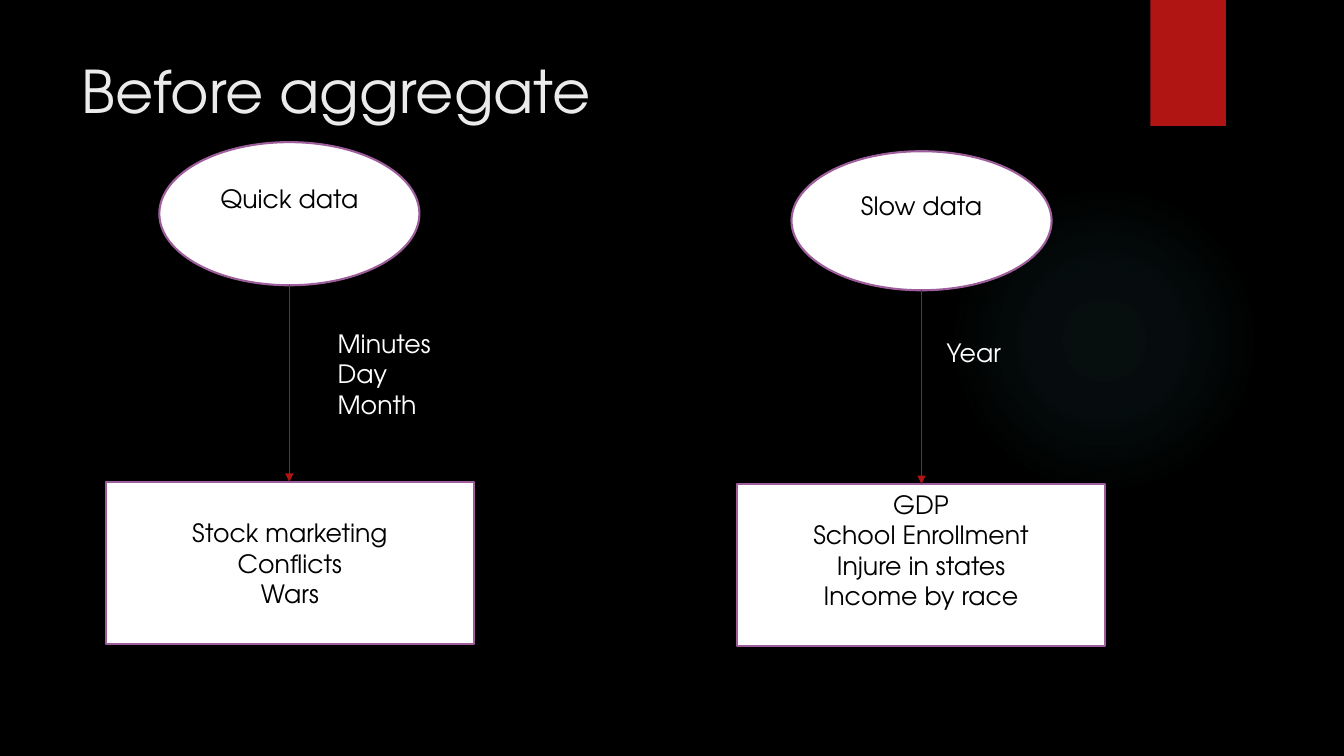
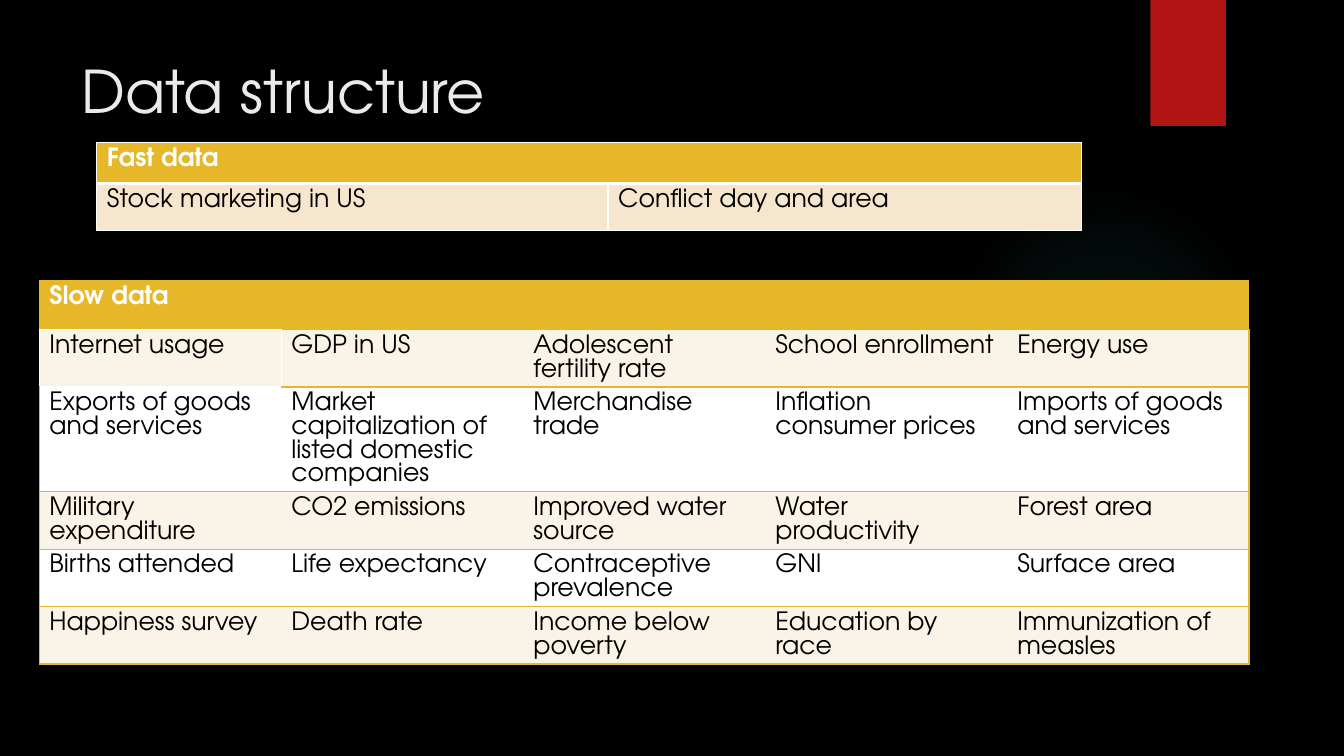
from dataclasses import dataclass

from lxml.etree import SubElement
from pptx import Presentation
from pptx.dml.color import RGBColor
from pptx.enum.shapes import MSO_CONNECTOR, MSO_SHAPE
from pptx.enum.text import MSO_ANCHOR, PP_ALIGN
from pptx.oxml import parse_xml
from pptx.oxml.ns import nsdecls, qn
from pptx.util import Inches, Pt


@dataclass(frozen=True)
class Theme:
    font: str = "TeX Gyre Adventor"
    title_size: int = 42
    body_size: int = 18
    background: str = "000000"
    title: str = "EBEBEB"
    ribbon: str = "B01513"
    glow: str = "50B9C1"
    outline: str = "9E5E9B"
    gold: str = "E6B729"
    sand: str = "F5E6CD"
    cream: str = "FAF3E8"
    white: str = "FFFFFF"
    black: str = "000000"
    cell_line: float = 16.9


THEME = Theme()

FLOWS = [
    {
        "ellipse": (1.58, 1.41, 2.58, 1.42),
        "source": "Quick data",
        "box": (1.05, 4.78, 3.65, 1.61),
        "examples": "Stock marketing\nConflicts\nWars",
        "examples_lift": 0,
        "label": (3.25, 3.21, 1.35, 1.01),
        "periods": "Minutes Day\nMonth",
    },
    {
        "ellipse": (7.85, 1.5, 2.58, 1.38),
        "source": "Slow data",
        "box": (7.31, 4.8, 3.65, 1.61),
        "examples": "GDP\nSchool Enrollment\nInjure in states\nIncome by race",
        "examples_lift": 0.3,
        "label": (9.29, 3.3, 1.53, 0.4),
        "periods": "Year",
    },
]

FAST_ROWS = [["Stock marketing in US", "Conflict day and area"]]

SLOW_ROWS = [
    ["Internet usage", "GDP in US", "Adolescent fertility rate",
     "School enrollment", "Energy use"],
    ["Exports of goods and services",
     "Market capitalization of listed domestic companies",
     "Merchandise trade", "Inflation consumer prices",
     "Imports of goods and services"],
    ["Military expenditure", "CO2 emissions", "Improved water source",
     "Water productivity", "Forest area"],
    ["Births attended", "Life expectancy", "Contraceptive prevalence",
     "GNI", "Surface area"],
    ["Happiness survey", "Death rate", "Income below poverty",
     "Education by race", "Immunization of measles"],
]


def rgb(value):
    return RGBColor.from_string(value)


def inches(box):
    return [Inches(length) for length in box]


def write(frame, text, color, size=THEME.body_size, align=PP_ALIGN.LEFT,
          bold=False, spacing=None):
    frame.text = text
    frame.word_wrap = True
    for paragraph in frame.paragraphs:
        paragraph.alignment = align
        paragraph.line_spacing = spacing
        for run in paragraph.runs:
            run.font.name = THEME.font
            run.font.size = Pt(size)
            run.font.bold = bold
            run.font.color.rgb = rgb(color)


def add_text(slide, box, text, color, size=THEME.body_size):
    frame = slide.shapes.add_textbox(*inches(box)).text_frame
    write(frame, text, color, size)


def add_glow(slide, box):
    glow = slide.shapes.add_shape(MSO_SHAPE.OVAL, *inches(box))
    glow.shadow.inherit = False
    glow.line.fill.background()
    stops = "".join(
        f'<a:gs pos="{position * 1000}"><a:srgbClr val="{THEME.glow}">'
        f'<a:alpha val="{alpha * 1000}"/></a:srgbClr></a:gs>'
        for position, alpha in ((0, 7), (36, 6), (69, 0), (100, 0))
    )
    gradient = parse_xml(
        f'<a:gradFill {nsdecls("a")}><a:gsLst>{stops}</a:gsLst>'
        '<a:path path="circle"><a:fillToRect l="50000" t="50000" '
        'r="50000" b="50000"/></a:path></a:gradFill>'
    )
    glow.element.spPr.find(qn("a:prstGeom")).addnext(gradient)


def add_ribbon(slide, box):
    ribbon = slide.shapes.add_shape(MSO_SHAPE.RECTANGLE, *inches(box))
    ribbon.shadow.inherit = False
    ribbon.fill.solid()
    ribbon.fill.fore_color.rgb = rgb(THEME.ribbon)
    ribbon.line.fill.background()


def add_base_slide(deck, title):
    slide = deck.slides.add_slide(deck.slide_layouts[6])
    slide.background.fill.solid()
    slide.background.fill.fore_color.rgb = rgb(THEME.background)
    add_glow(slide, (9.41, 1.83, 3.08, 3.08))
    add_ribbon(slide, (11.41, 0, 0.75, 1.25))
    add_text(slide, (0.71, 0.49, 10.29, 1.53), title, THEME.title, THEME.title_size)
    return slide


def add_node(slide, preset, box, text, lift=0):
    node = slide.shapes.add_shape(preset, *inches(box))
    node.shadow.inherit = False
    node.fill.solid()
    node.fill.fore_color.rgb = rgb(THEME.white)
    node.line.color.rgb = rgb(THEME.outline)
    node.line.width = Pt(1.5)
    frame = node.text_frame
    frame.vertical_anchor = MSO_ANCHOR.MIDDLE
    frame.margin_bottom = Inches(0.05 + lift)
    write(frame, text, THEME.black, align=PP_ALIGN.CENTER)
    return node


def add_arrow(slide, source, target):
    middle = source.left + source.width // 2
    arrow = slide.shapes.add_connector(
        MSO_CONNECTOR.STRAIGHT, middle, source.top + source.height,
        middle, target.top)
    arrow.line.color.rgb = rgb(THEME.ribbon)
    arrow.line.width = Pt(0.75)
    SubElement(arrow.line._get_or_add_ln(), qn("a:tailEnd"), type="triangle")
    SubElement(arrow.element.spPr, qn("a:effectLst"))


def add_flow(slide, flow):
    source = add_node(slide, MSO_SHAPE.OVAL, flow["ellipse"], flow["source"], 0.3)
    examples = add_node(slide, MSO_SHAPE.RECTANGLE, flow["box"],
                        flow["examples"], flow["examples_lift"])
    add_arrow(slide, source, examples)
    add_text(slide, flow["label"], flow["periods"], THEME.white)


def set_borders(cell, borders):
    properties = cell._tc.get_or_add_tcPr()
    for index, side in enumerate("LRTB"):
        color, width = borders.get(side, (None, 0))
        paint = (f'<a:solidFill><a:srgbClr val="{color}"/></a:solidFill>'
                 if color else "<a:noFill/>")
        properties.insert(index, parse_xml(
            f'<a:ln{side} {nsdecls("a")} w="{Pt(width)}">{paint}</a:ln{side}>'))


def style_cell(cell, text, fill, color, borders, bold=False):
    cell.fill.solid()
    cell.fill.fore_color.rgb = rgb(fill)
    write(cell.text_frame, text, color, bold=bold, spacing=Pt(THEME.cell_line))
    set_borders(cell, borders)


def add_data_table(slide, box, heading, rows, widths, heights, fills, borders_at):
    table = slide.shapes.add_table(
        len(rows) + 1, len(widths), *inches(box)).table
    table.first_row = table.horz_banding = False
    for column, width in zip(table.columns, widths):
        column.width = Inches(width)
    for row, height in zip(table.rows, heights):
        row.height = Inches(height)
    table.cell(0, 0).merge(table.cell(0, len(widths) - 1))
    for column in range(len(widths)):
        style_cell(table.cell(0, column), "" if column else heading, THEME.gold,
                   THEME.white, borders_at(0, column), bold=True)
    for row, texts in enumerate(rows, 1):
        for column, text in enumerate(texts):
            style_cell(table.cell(row, column), text,
                       fills[(row - 1) % len(fills)], THEME.black,
                       borders_at(row, column))


def fast_borders(row, column):
    borders = dict.fromkeys("LRTB", (THEME.white, 1))
    borders["T" if row else "B"] = (THEME.white, 3)
    return borders


def slow_borders(row, column):
    gold, white = (THEME.gold, 1), (THEME.white, 1)
    if (row, column) == (1, 0):
        return dict.fromkeys("LRTB", white)
    borders = {"T": gold, "B": gold}
    if column == 0:
        borders["L"] = gold
    if column == len(SLOW_ROWS[0]) - 1:
        borders["R"] = (THEME.gold, 1.5)
    if (row, column) == (0, 0):
        borders["B"] = white
    if (row, column) == (2, 0):
        borders["T"] = white
    if (row, column) == (1, 1):
        borders["L"] = white
    return borders


def build_aggregate_slide(deck):
    slide = add_base_slide(deck, "Before aggregate")
    for flow in FLOWS:
        add_flow(slide, flow)


def build_structure_slide(deck):
    slide = add_base_slide(deck, "Data structure")
    add_data_table(slide, (0.96, 1.41, 9.77, 0.88), "Fast data", FAST_ROWS,
                   [5.07, 4.7], [0.41, 0.47], [THEME.sand], fast_borders)
    add_data_table(slide, (0.39, 2.78, 12, 2.94), "Slow data", SLOW_ROWS,
                   [2.4] * 5, [0.49] * 6, [THEME.cream, THEME.white],
                   slow_borders)


def main():
    deck = Presentation()
    deck.slide_width, deck.slide_height = Inches(13.33), Inches(7.5)
    build_aggregate_slide(deck)
    build_structure_slide(deck)
    deck.save("out.pptx")


if __name__ == "__main__":
    main()
